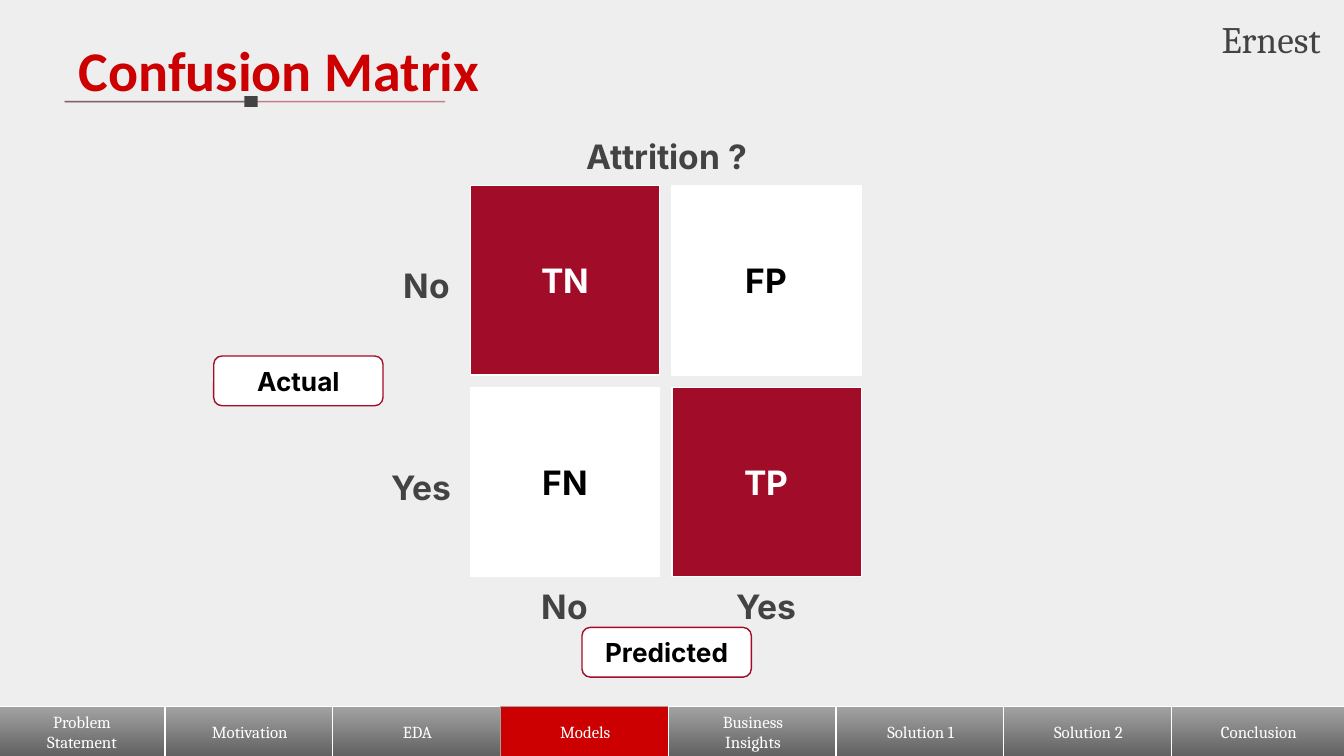
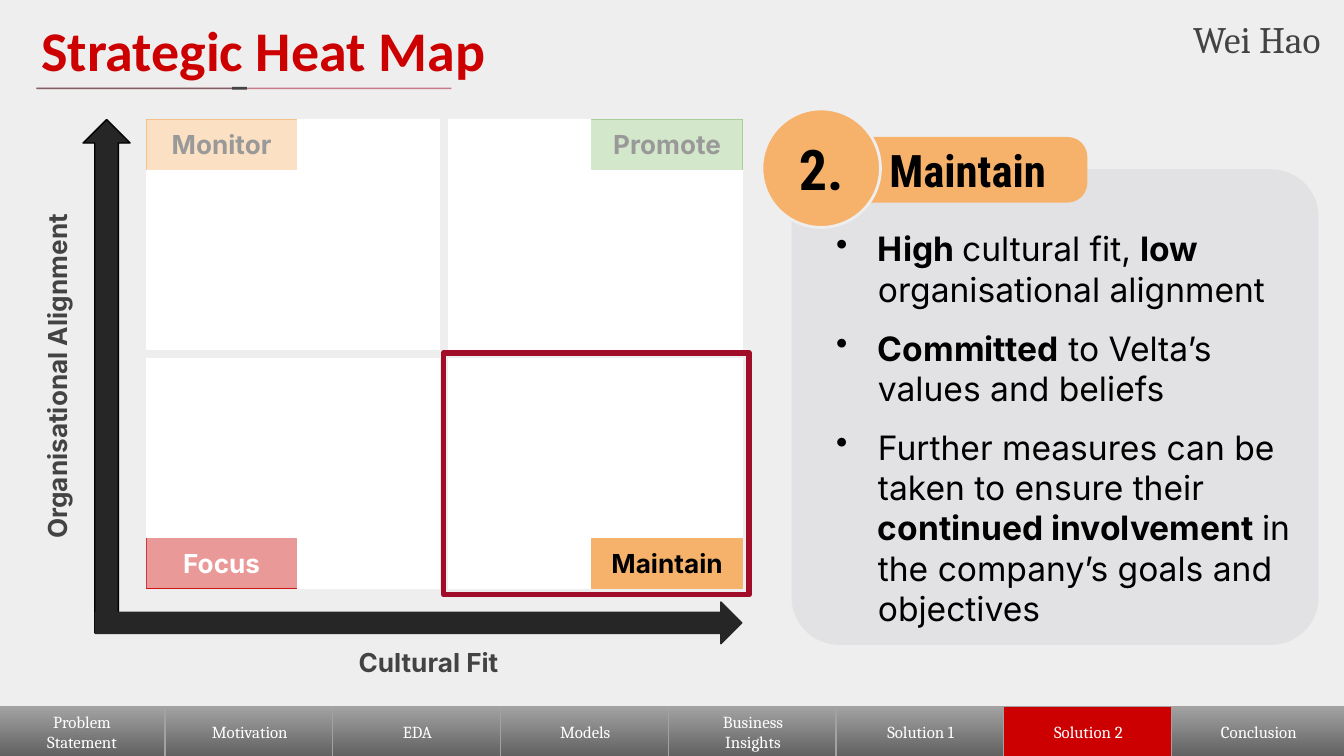
from lxml import etree
from pptx import Presentation
from pptx import util as u
from pptx.dml.color import RGBColor
from pptx.enum import shapes, text
from pptx.oxml import ns

Cm, Pt = u.Cm, u.Pt
KIND, ALIGN, ANCHOR = shapes.MSO_SHAPE, text.PP_ALIGN, text.MSO_ANCHOR

BACKGROUND = RGBColor(0xEE, 0xEE, 0xEE)
WHITE = RGBColor(0xFF, 0xFF, 0xFF)
BLACK = RGBColor(0x00, 0x00, 0x00)
RED = RGBColor(0xCC, 0x00, 0x00)
CRIMSON = RGBColor(0xA1, 0x0C, 0x28)
CHARCOAL = RGBColor(0x43, 0x43, 0x43)
ARROW = RGBColor(0x26, 0x26, 0x26)
ORANGE = RGBColor(0xF6, 0xB2, 0x6B)
GREEN = RGBColor(0x93, 0xC4, 0x7D)
PANEL = RGBColor(0x98, 0x94, 0xA8)
TAB_TOP = RGBColor(0xA2, 0xA2, 0xA2)
TAB_BOTTOM = RGBColor(0x61, 0x61, 0x61)
TAB_EDGE = RGBColor(0xA6, 0xA1, 0xA1)

SECTIONS = [["Problem", "Statement"], ["Motivation"], ["EDA"], ["Models"],
            ["Business", "Insights"], ["Solution 1"], ["Solution 2"], ["Conclusion"]]
TAB_PITCH = 3.17
LABEL_WIDTHS = {"No": 1.65, "Yes": 1.85}


# ---- Building blocks ----

def add_child(parent, tag, **attributes):
    return etree.SubElement(parent, ns.qn(tag), attributes)


def set_opacity(element, percent):
    """Make every plain colour inside the element translucent."""
    for color in element.iter(ns.qn("a:srgbClr")):
        add_child(color, "a:alpha", val=str(percent * 1000))


def add_bullet(paragraph):
    properties = paragraph._p.get_or_add_pPr()
    properties.set("marL", str(Cm(1.12)))
    properties.set("indent", str(-Cm(0.79)))
    add_child(add_child(properties, "a:buClr"), "a:srgbClr", val=str(BLACK))
    add_child(properties, "a:buChar", char="•")


def write_text(shape, paragraphs, *, size, font="Inter", color=BLACK, bold=True,
               align=ALIGN.CENTER, anchor=ANCHOR.MIDDLE, inset=(0.25, 0.25),
               line_spacing=None, space_before=0, bullets=False):
    """Write paragraphs, each a string or a list of (text, bold) runs."""
    frame = shape.text_frame
    frame.word_wrap = True
    frame.vertical_anchor = anchor
    frame.margin_left = frame.margin_right = Cm(inset[0])
    frame.margin_top = frame.margin_bottom = Cm(inset[1])
    for index, content in enumerate(paragraphs):
        paragraph = frame.add_paragraph() if index else frame.paragraphs[0]
        if bullets:
            add_bullet(paragraph)
        paragraph.alignment = align
        if line_spacing:
            paragraph.line_spacing = line_spacing
        if index and space_before:
            paragraph.space_before = Pt(space_before)
        runs = [(content, bold)] if isinstance(content, str) else content
        for words, is_bold in runs:
            run = paragraph.add_run()
            run.text = words
            run.font.size = Pt(size)
            run.font.name = font
            run.font.bold = is_bold
            run.font.color.rgb = color


def add_box(slide, kind, left, top, width, height, *, fill=None, line=None,
            line_width=0.75, adjustment=None, opacity=None):
    shape = slide.shapes.add_shape(kind, Cm(left), Cm(top), Cm(width), Cm(height))
    shape.shadow.inherit = False
    if adjustment is not None:
        shape.adjustments[0] = adjustment
    if fill is None:
        shape.fill.background()
    else:
        shape.fill.solid()
        shape.fill.fore_color.rgb = fill
    if opacity:
        set_opacity(shape._element.spPr, opacity)
    if line is None:
        shape.line.fill.background()
    else:
        shape.line.color.rgb = line
        shape.line.width = Pt(line_width)
    return shape


def add_label(slide, words, left, top, width, height, **style):
    box = slide.shapes.add_textbox(Cm(left), Cm(top), Cm(width), Cm(height))
    write_text(box, [words], **{"anchor": ANCHOR.TOP, "color": CHARCOAL, **style})
    return box


def add_rule(slide, left, right, y, color):
    rule = slide.shapes.add_connector(shapes.MSO_CONNECTOR.STRAIGHT,
                                      Cm(left), Cm(y), Cm(right), Cm(y))
    rule.line.color.rgb = color
    rule.line.width = Pt(0.75)
    set_opacity(rule._element.spPr, 50)
    add_child(rule._element.spPr, "a:effectLst")


# ---- Parts shared by the slides ----

def add_title(slide, words, left, top, rule, marker):
    """Title with a two-tone rule (left, right, y) and a marker (left, width, height)."""
    add_label(slide, words, left, top, 21.4, 1.6, size=30, font="Calibri",
              color=RED, align=ALIGN.LEFT)
    rule_left, rule_right, y = rule
    marker_left, width, height = marker
    add_rule(slide, rule_left, rule_right, y, CRIMSON)
    add_rule(slide, rule_left, marker_left, y, CHARCOAL)
    add_box(slide, KIND.RECTANGLE, marker_left, y - height / 2, width, height, fill=CHARCOAL)


def add_presenter(slide, name):
    add_label(slide, name, 21.56, 0.2, 3.58, 1.04, size=20, font="Cambria",
              bold=False, align=ALIGN.RIGHT, inset=(0.18, 0.1))


def add_navigation(slide, active, edge):
    for index, lines in enumerate(SECTIONS):
        is_active = lines == [active]
        width = 3.3 if index == len(SECTIONS) - 1 else 3.2
        tab = add_box(slide, KIND.SNIP_1_RECTANGLE, index * TAB_PITCH - 0.05, 13.36,
                      width, 0.94, fill=RED, line=TAB_EDGE if is_active else edge,
                      adjustment=0)
        if not is_active:
            tab.fill.gradient()
            tab.fill.gradient_angle = 270
            for stop, color in zip(tab.fill.gradient_stops, (TAB_TOP, TAB_BOTTOM)):
                stop.color.rgb = color
        write_text(tab, lines, size=9, font="Cambria", color=WHITE, bold=False,
                   inset=(0.18, 0.1))


def add_slide(presentation):
    slide = presentation.slides.add_slide(presentation.slide_layouts[6])
    slide.background.fill.solid()
    slide.background.fill.fore_color.rgb = BACKGROUND
    return slide


# ---- Confusion matrix ----

def build_confusion_matrix(presentation):
    slide = add_slide(presentation)
    add_navigation(slide, "Models", WHITE)

    # Tiles, coloured where the prediction is right
    left, top, side, pitch = 8.89, 3.51, 3.58, 3.81
    for row, names in enumerate([("TN", "FP"), ("FN", "TP")]):
        for column, name in enumerate(names):
            correct = row == column
            tile = add_box(slide, KIND.RECTANGLE, left + column * pitch, top + row * pitch,
                           side, side, fill=CRIMSON if correct else WHITE, line=WHITE)
            write_text(tile, [name], size=18, color=WHITE if correct else BLACK)

    # Axis names and class labels
    for name, x, y in [("Actual", 4.04, 6.73), ("Predicted", 11, 11.86)]:
        axis = add_box(slide, KIND.ROUNDED_RECTANGLE, x, y, 3.2, 0.94,
                       fill=WHITE, line=CRIMSON)
        write_text(axis, [name], size=14)
    label_style = {"size": 18, "line_spacing": 1.15}
    for index, (name, width) in enumerate(LABEL_WIDTHS.items()):
        center = left + index * pitch + side / 2
        add_label(slide, name, center - width / 2, 10.72, width, 1.27, **label_style)
        add_label(slide, name, left - width, 4.65 + index * pitch, width, 1.27,
                  **label_style)
    add_label(slide, "Attrition ?", 10.24, 2.21, 4.72, 1.27, **label_style)

    add_title(slide, "Confusion Matrix", 1.24, 0.43, (1.22, 8.41, 1.92), (4.62, 0.25, 0.2))
    add_presenter(slide, "Ernest")


# ---- Strategic heat map ----

def add_strategy_panel(slide):
    panel = add_box(slide, KIND.ROUNDED_RECTANGLE, 14.96, 3.2, 9.96, 8.99,
                    fill=PANEL, adjustment=0.1, opacity=13)
    points = [
        [("High ", True), ("cultural fit, ", False), ("low", True),
         (" organisational alignment", False)],
        [("Committed", True), (" to Velta’s values and beliefs", False)],
        [("Further measures can be taken to ensure their", False),
         (" continued involvement ", True),
         ("in the company’s goals and objectives", False)],
    ]
    write_text(panel, points, size=18, align=ALIGN.LEFT, anchor=ANCHOR.TOP,
               space_before=10, bullets=True)
    panel.text_frame.margin_top = Cm(0.85)

    heading = add_box(slide, KIND.ROUNDED_RECTANGLE, 16.03, 2.59, 4.52, 1.24,
                      fill=ORANGE, adjustment=0.3)
    write_text(heading, ["Maintain"], size=24, font="Roboto Condensed")
    number = add_box(slide, KIND.OVAL, 14.4, 2.06, 2.24, 2.24,
                     fill=ORANGE, line=BACKGROUND, line_width=1.5)
    write_text(number, ["2."], size=30, font="Roboto Condensed")


def add_heat_map(slide):
    left, top, width, height = 2.77, 2.26, 5.54, 4.34
    tag_width, tag_height = 2.84, 0.94
    # Name, column, row, tag colour, text colour
    quadrants = [("Monitor", 0, 0, ORANGE, BLACK), ("Promote", 1, 0, GREEN, BLACK),
                 ("Focus", 0, 1, RED, WHITE), ("Maintain", 1, 1, ORANGE, BLACK)]
    places = {name: (left + column * 5.72, top + row * 4.52)
              for name, column, row, *_ in quadrants}

    for x, y in places.values():
        add_box(slide, KIND.RECTANGLE, x, y, width, height, fill=WHITE, line=WHITE)

    # Axes
    add_box(slide, KIND.UP_ARROW, 1.57, top, 0.89, 9.7, fill=ARROW, line=BLACK)
    add_box(slide, KIND.RIGHT_ARROW, 1.8, 11.38, 12.22, 0.79, fill=ARROW, line=ARROW)
    vertical = add_label(slide, "Organisational Alignment", -2.64, 6.53, 7.52, 1.17, size=14)
    vertical.rotation = 270
    add_label(slide, "Cultural Fit", 5.33, 11.96, 5.54, 1.17, size=14)

    # Tags in the outer corners
    for name, column, row, fill, color in quadrants:
        x, y = places[name]
        tag = add_box(slide, KIND.RECTANGLE, x + column * (width - tag_width),
                      y + row * (height - tag_height), tag_width, tag_height,
                      fill=fill, line=fill)
        write_text(tag, [name], size=14, color=color)

    # Fade all quadrants but the framed one
    for name, (x, y) in places.items():
        if name == "Maintain":
            add_box(slide, KIND.RECTANGLE, x - 0.11, y - 0.11, width + 0.24, height + 0.23,
                    line=CRIMSON, line_width=3)
        else:
            add_box(slide, KIND.RECTANGLE, x, y, width, height, fill=WHITE, opacity=60)


def build_heat_map(presentation):
    slide = add_slide(presentation)
    add_navigation(slide, "Solution 2", TAB_EDGE)
    add_title(slide, "Strategic Heat Map", 0.53, 0.05, (0.69, 8.53, 1.67), (4.39, 0.28, 0.05))
    add_strategy_panel(slide)
    add_heat_map(slide)
    add_presenter(slide, "Wei Hao")


def main():
    presentation = Presentation()
    presentation.slide_width = Cm(25.4)
    presentation.slide_height = Cm(14.29)
    build_confusion_matrix(presentation)
    build_heat_map(presentation)
    presentation.save("out.pptx")


if __name__ == "__main__":
    main()
